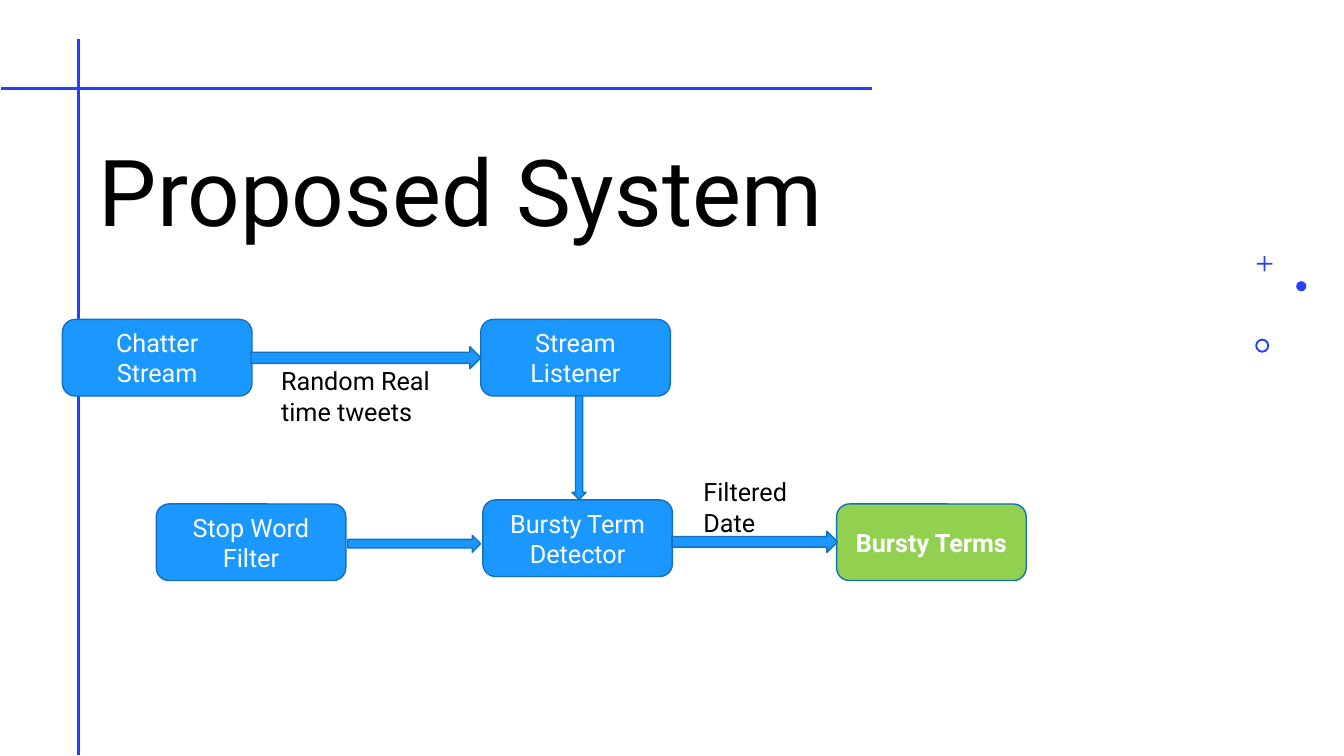
from dataclasses import dataclass

from lxml.etree import SubElement
from pptx import Presentation
from pptx.dml.color import RGBColor
from pptx.enum.shapes import MSO_CONNECTOR, MSO_SHAPE
from pptx.enum.text import MSO_ANCHOR, MSO_AUTO_SIZE, PP_ALIGN
from pptx.oxml.ns import qn
from pptx.util import Pt


@dataclass(frozen=True)
class Theme:
    font: str = "Roboto"
    title_size: float = 66
    body_size: float = 18
    text: str = "000000"
    light_text: str = "FFFFFF"
    accent: str = "243FFF"
    node: str = "1A98FF"
    result: str = "92D050"
    outline: str = "1370BD"


THEME = Theme()
NODE_WIDTH, NODE_HEIGHT = 135.4, 54.7


def write_text(shape, text, size=THEME.body_size, color=THEME.text, bold=False,
               align=PP_ALIGN.LEFT, anchor=MSO_ANCHOR.TOP, line_spacing=None):
    frame = shape.text_frame
    frame.text = text
    frame.word_wrap = True
    frame.vertical_anchor = anchor
    for paragraph in frame.paragraphs:
        paragraph.alignment = align
        paragraph.line_spacing = line_spacing
        for run in paragraph.runs:
            run.font.name = THEME.font
            run.font.size = Pt(size)
            run.font.bold = bold
            run.font.color.rgb = RGBColor.from_string(color)


def add_filled_shape(slide, kind, left, top, width, height, fill, outline=None):
    shape = slide.shapes.add_shape(kind, Pt(left), Pt(top), Pt(width), Pt(height))
    shape.shadow.inherit = False
    shape.fill.solid()
    shape.fill.fore_color.rgb = RGBColor.from_string(fill)
    if outline:
        shape.line.color.rgb = RGBColor.from_string(outline)
        shape.line.width = Pt(1)
    else:
        shape.line.fill.background()
    return shape


def add_rule(slide, start_x, start_y, end_x, end_y):
    rule = slide.shapes.add_connector(
        MSO_CONNECTOR.STRAIGHT, Pt(start_x), Pt(start_y), Pt(end_x), Pt(end_y))
    rule.line.color.rgb = RGBColor.from_string(THEME.accent)
    rule.line.width = Pt(2)
    SubElement(rule.element.spPr, qn("a:effectLst"))


def add_node(slide, left, top, text, fill=THEME.node, bold=False):
    node = add_filled_shape(slide, MSO_SHAPE.ROUNDED_RECTANGLE, left, top,
                            NODE_WIDTH, NODE_HEIGHT, fill, THEME.outline)
    write_text(node, text, color=THEME.light_text, bold=bold,
               align=PP_ALIGN.CENTER, anchor=MSO_ANCHOR.MIDDLE)


def add_arrow(slide, center_x, center_y, length, thickness, rotation=0):
    arrow = add_filled_shape(
        slide, MSO_SHAPE.RIGHT_ARROW, center_x - length / 2, center_y - thickness / 2,
        length, thickness, THEME.node, THEME.outline)
    arrow.rotation = rotation


def add_label(slide, left, top, width, text):
    label = slide.shapes.add_textbox(Pt(left), Pt(top), Pt(width), Pt(50.9))
    write_text(label, text)
    label.text_frame.auto_size = MSO_AUTO_SIZE.SHAPE_TO_FIT_TEXT


def place_title(slide, left, top, width, height):
    title = slide.shapes.title
    title.left, title.top, title.width, title.height = map(Pt, (left, top, width, height))
    write_text(title, "Proposed System", size=THEME.title_size,
               anchor=MSO_ANCHOR.BOTTOM, line_spacing=0.9)
    title.text_frame.auto_size = MSO_AUTO_SIZE.NONE


def draw_ornaments(slide, left, top):
    plus = add_filled_shape(slide, MSO_SHAPE.CROSS, left + 1.2, top, 11, 11, THEME.accent)
    plus.adjustments[0] = 0.44
    add_filled_shape(slide, MSO_SHAPE.OVAL, left + 29.3, top + 18, 7.2, 7.2, THEME.accent)
    ring = add_filled_shape(slide, MSO_SHAPE.DONUT, left, top + 59, 10, 10, THEME.accent)
    ring.adjustments[0] = 0.14


def draw_flow(slide, left, top):
    # Steps
    add_node(slide, left, top, "Chatter Stream")
    add_node(slide, left + 298.8, top, "Stream Listener")
    add_node(slide, left + 300.3, top + 128.9, "Bursty Term Detector")
    add_node(slide, left + 67, top + 131.8, "Stop Word\nFilter")
    add_node(slide, left + 553, top + 131.8, "Bursty Terms", THEME.result, bold=True)

    # Arrows between the steps
    add_arrow(slide, left + 216.8, top + 27.4, 164.2, 15.8)
    add_arrow(slide, left + 369, top + 91.5, 74.2, 10.1, rotation=90)
    add_arrow(slide, left + 251.3, top + 160.2, 95, 12.2)
    add_arrow(slide, left + 494.6, top + 158.8, 118.1, 15.1)

    # Arrow labels
    add_label(slide, left + 149.1, top + 29.5, NODE_WIDTH, "Random Real time tweets")
    add_label(slide, left + 450.8, top + 108.7, 88.6, "Filtered Date")


def build_system_slide(presentation):
    slide = presentation.slides.add_slide(presentation.slide_layouts[5])
    # Crossing rules and title
    add_rule(slide, 56.2, 28, 56.2, 539.5)
    place_title(slide, 63.4, 87.1, 830.9, 92.9)
    add_rule(slide, 0.5, 63.2, 623, 63.2)
    # Ornaments and flow chart
    draw_ornaments(slide, 896.6, 182.9)
    draw_flow(slide, 44.6, 228.2)


def main():
    presentation = Presentation()
    presentation.slide_width, presentation.slide_height = Pt(960), Pt(540)
    build_system_slide(presentation)
    presentation.save("out.pptx")


if __name__ == "__main__":
    main()
